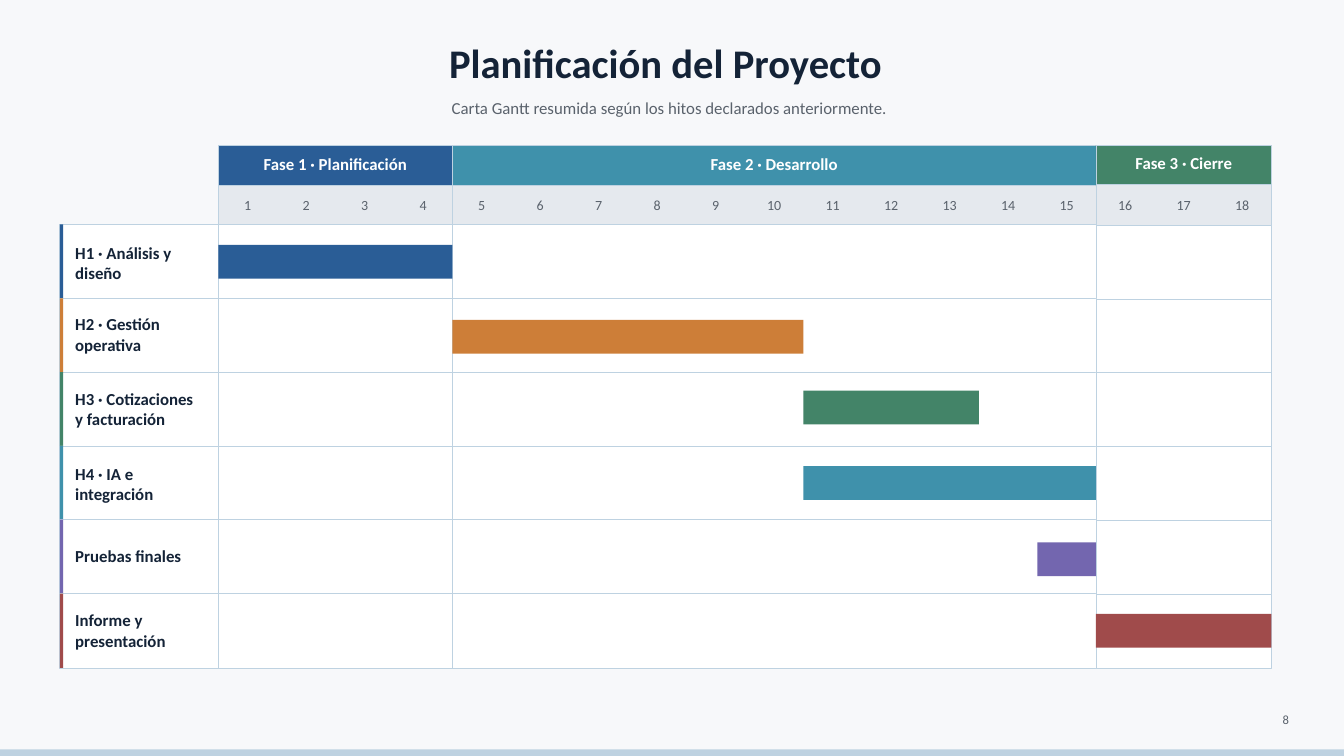
from pptx import Presentation
from pptx.dml.color import RGBColor as RGB
from pptx.enum.shapes import MSO_SHAPE as Kind
from pptx.enum.text import MSO_ANCHOR as Anchor, MSO_AUTO_SIZE as Fit, PP_ALIGN as Align
from pptx.util import Pt

PAGE = RGB(0xF7, 0xF8, 0xFA)
WHITE = RGB(0xFF, 0xFF, 0xFF)
PALE = RGB(0xE5, 0xE9, 0xEE)
RULE = RGB(0xBE, 0xD2, 0xE1)
INK = RGB(0x14, 0x23, 0x37)
GREY = RGB(0x5A, 0x62, 0x6C)
BLUE = RGB(0x2A, 0x5D, 0x96)
TEAL = RGB(0x3F, 0x91, 0xAB)
GREEN = RGB(0x43, 0x84, 0x68)
AMBER = RGB(0xCD, 0x7E, 0x38)
PLUM = RGB(0x73, 0x66, 0xAF)
RED = RGB(0xA0, 0x4B, 0x4B)

LEFT, WEEK = 234, 62.68
SIDE = 64.1
TOP, STEP, HIGH = 240.5, 79.1, 79.6

deck = Presentation()
deck.slide_width, deck.slide_height = Pt(1440), Pt(810)
slide = deck.slides.add_slide(deck.slide_layouts[5])
slide.background.fill.solid()
slide.background.fill.fore_color.rgb = PAGE


def block(x, y, w, h, fill, edge=False):
    shape = slide.shapes.add_shape(Kind.RECTANGLE, Pt(x), Pt(y), Pt(w), Pt(h))
    shape.shadow.inherit = False
    shape.fill.solid()
    shape.fill.fore_color.rgb = fill
    if edge:
        shape.line.color.rgb = RULE
        shape.line.width = Pt(0.75)
    else:
        shape.line.fill.background()


def label(text, x, y, w, h, size, color, bold=False, align=Align.CENTER, box=None):
    box = box or slide.shapes.add_textbox(0, 0, 0, 0)
    box.left, box.top, box.width, box.height = Pt(x), Pt(y), Pt(w), Pt(h)
    frame = box.text_frame
    frame.text = text
    frame.word_wrap = True
    frame.auto_size = Fit.NONE
    frame.vertical_anchor = Anchor.TOP
    frame.margin_left = frame.margin_right = frame.margin_top = frame.margin_bottom = 0
    para = frame.paragraphs[0]
    para.alignment = align
    para.line_spacing = Pt(size * 1.2)
    para.space_before = Pt(0)
    para.font.name = "Calibri"
    para.font.size = Pt(size)
    para.font.bold = bold
    para.font.color.rgb = color


label("Planificación del Proyecto", 52.6, 40.3, 1321.2, 59, 43.5, INK, True,
      box=slide.shapes.title)
label("Carta Gantt resumida según los hitos declarados anteriormente.",
      70.6, 104.4, 1293, 24, 18, GREY)
block(0, 802.8, 1440, 7.2, RULE)
label("8", 1373.8, 762.5, 7.2, 18, 13.5, GREY, align=Align.RIGHT)

phases = [
    ("Fase 1 · Planificación", 1, 4, BLUE, 236, 164.9, 0),
    ("Fase 2 · Desarrollo", 5, 15, TEAL, 137, 164.9, 0),
    ("Fase 3 · Cierre", 16, 18, GREEN, 104, 163.4, 0.7),
]
for name, first, last, color, wide, y, drop in phases:
    x, w = LEFT + (first - 1) * WEEK, (last - first + 1) * WEEK
    block(x, 155.5, w, 43.9, color, True)
    block(x, 198.7 - drop, w, 43.6, PALE, True)
    for row in range(6):
        block(x, TOP + drop + row * STEP, w, HIGH, WHITE, True)
    label(name, x + (w - wide) / 2, y, wide, 24, 18, WHITE, True)

for week in range(18):
    label(str(week + 1), LEFT + 7.2 + week * WEEK, 210.2, 48.3, 21, 15, GREY)

tasks = [
    ("H1 · Análisis y diseño", 1, 4, BLUE, 259.9, 262.3),
    ("H2 · Gestión operativa", 5, 10, AMBER, 336.5, 342.7),
    ("H3 · Cotizaciones y facturación", 11, 13, GREEN, 416.5, 418.6),
    ("H4 · IA e integración", 11, 15, TEAL, 496.8, 499.5),
    ("Pruebas finales", 15, 15, PLUM, 584.6, 581),
    ("Informe y presentación", 16, 18, RED, 653.8, 657.7),
]
for row, (name, first, last, color, y, bar) in enumerate(tasks):
    top = TOP + row * STEP
    block(SIDE, top, LEFT - SIDE, HIGH, WHITE, True)
    block(SIDE, top, 3.6, HIGH, color)
    tall = 24 if name == "Pruebas finales" else 45
    label(name, 80.6, y, 134, tall, 18, INK, True, Align.LEFT)
    block(LEFT + (first - 1) * WEEK, bar, (last - first + 1) * WEEK, 36.2, color)

deck.save("out.pptx")
